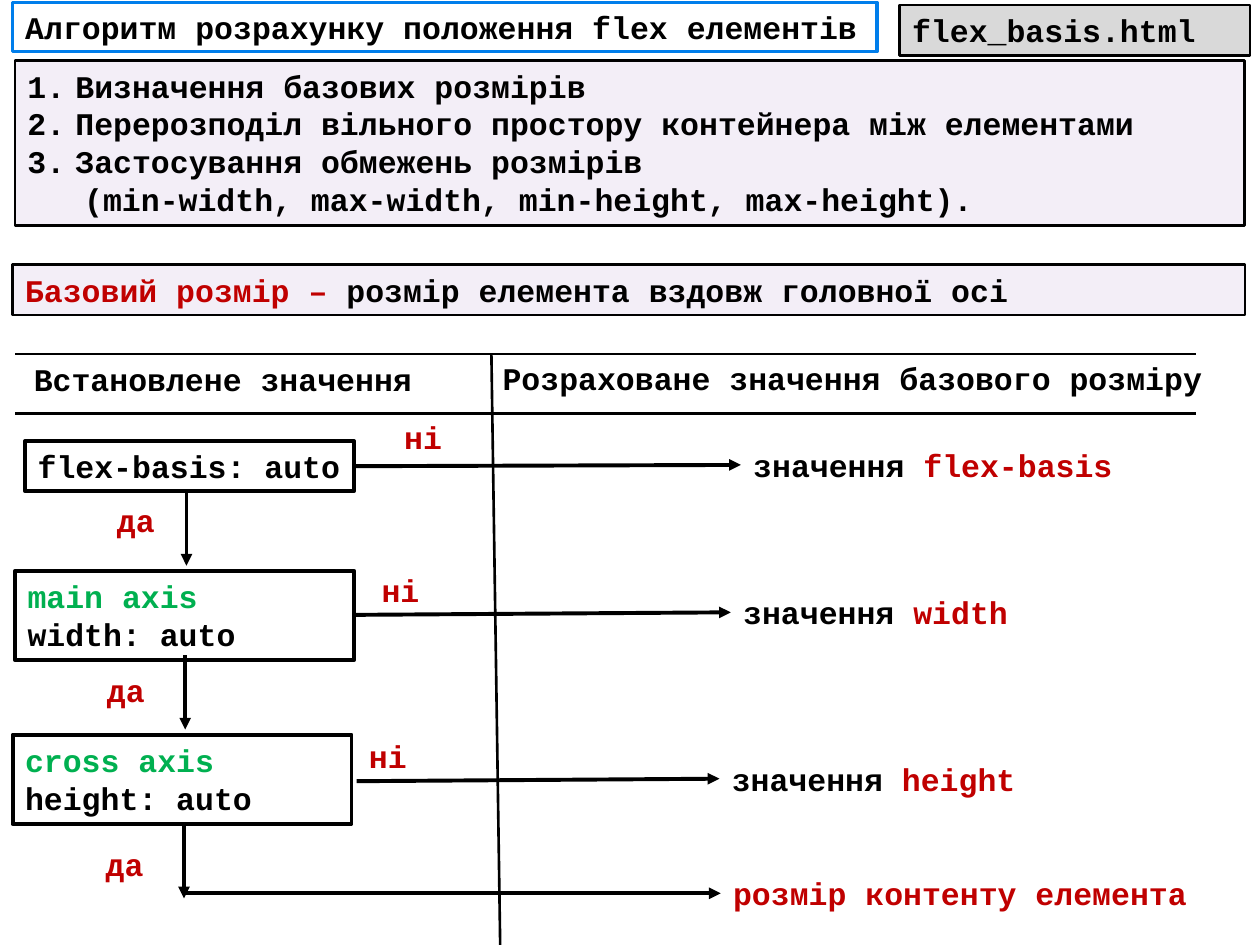
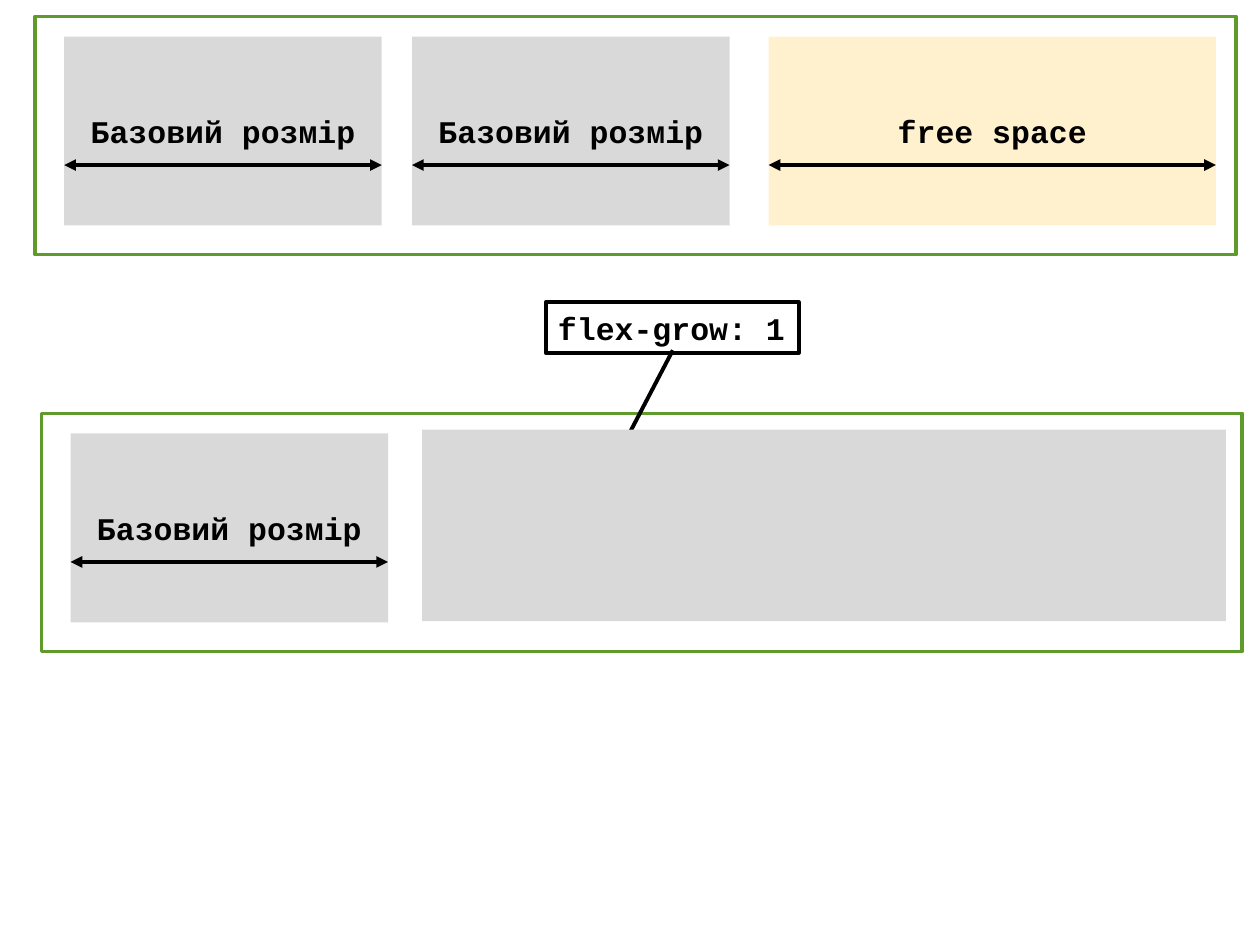
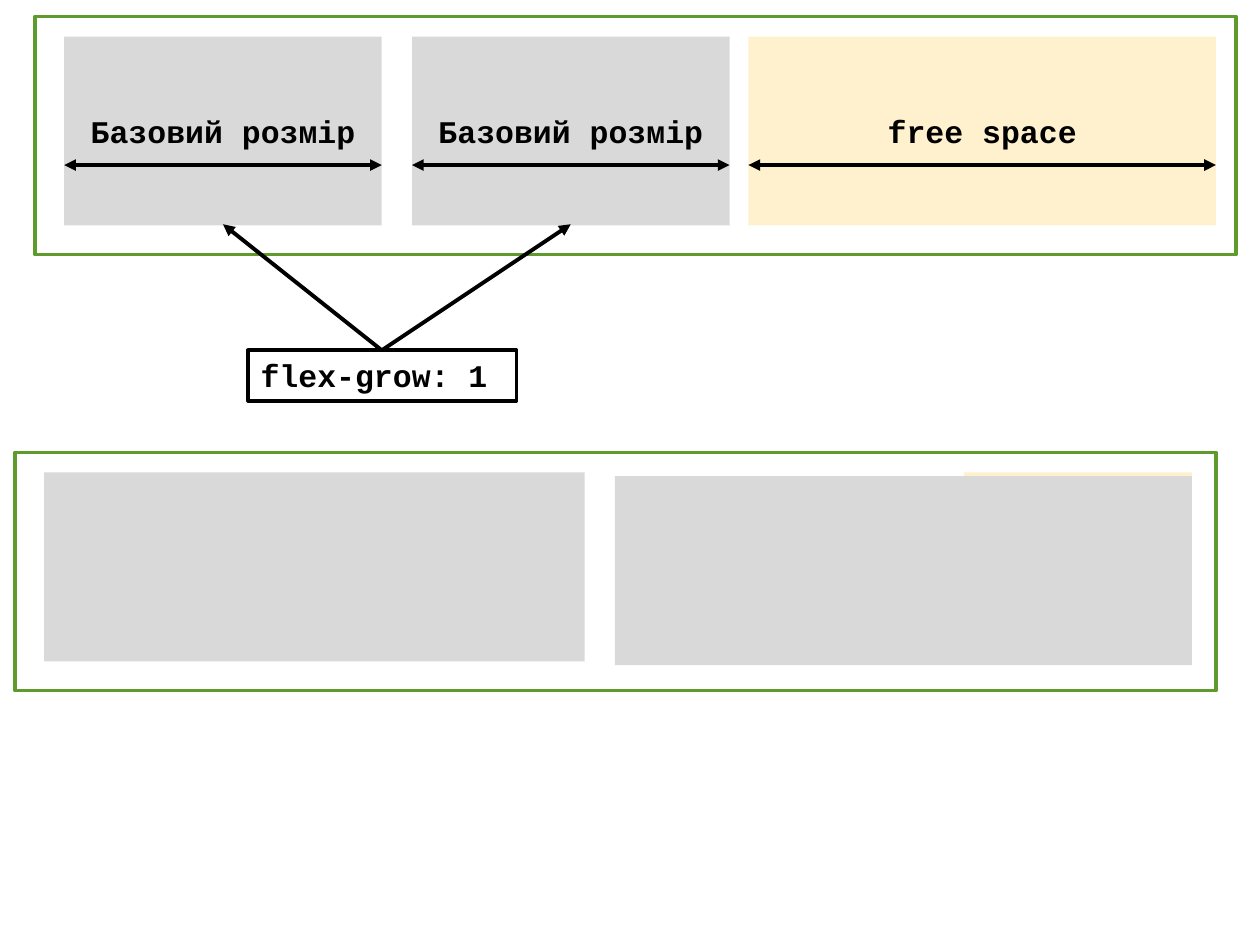
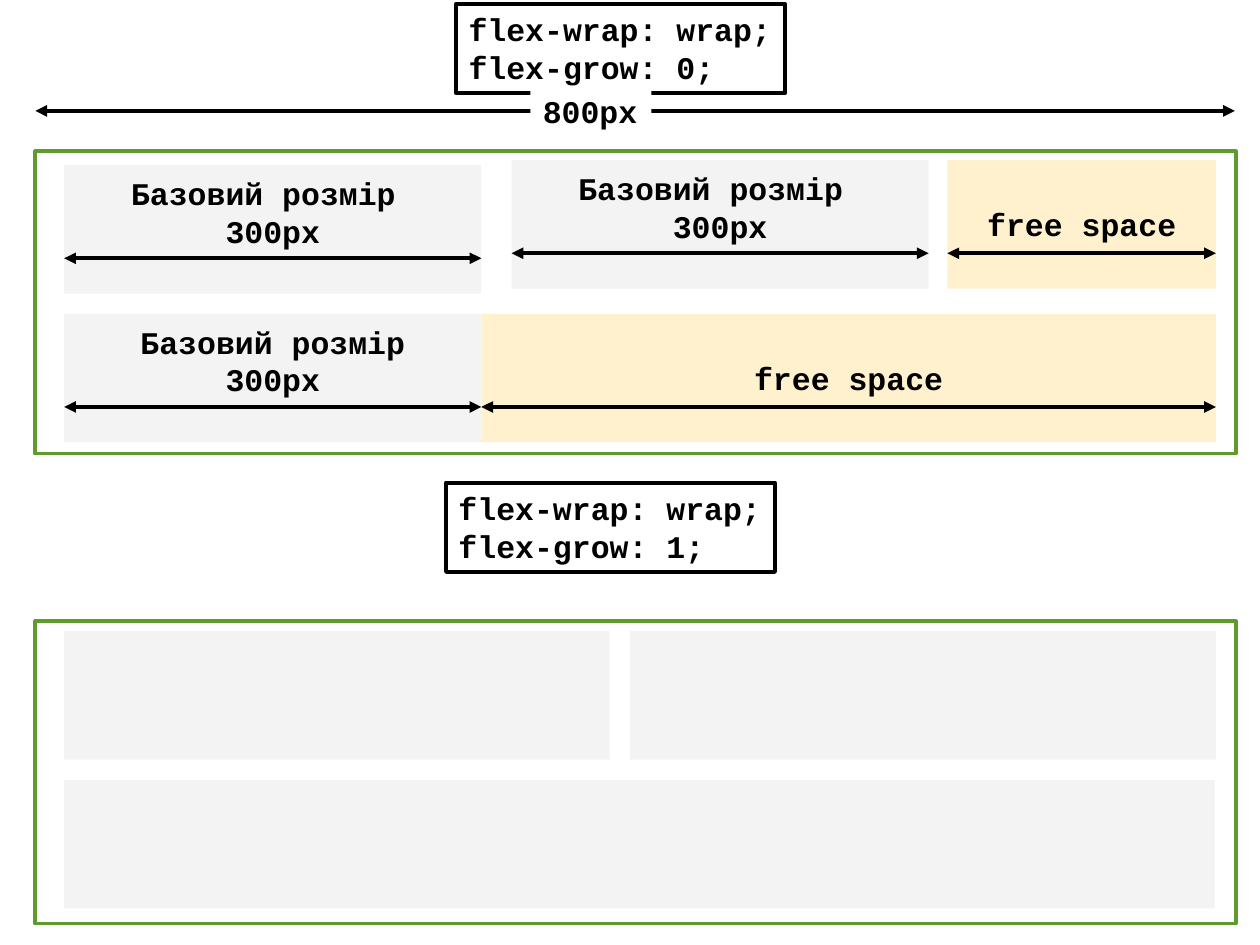
"""Four slides on how flex items get their size: base size, growth and wrapping."""
from lxml import etree
from pptx import Presentation
from pptx import util as u
from pptx.dml.color import RGBColor
from pptx.enum import shapes, text
from pptx.oxml import ns

COLORS = {
    "black": "000000", "white": "FFFFFF", "blue": "007EEB", "purple": "7030A0",
    "red": "C00000", "green": "00B050", "frame": "5E9B2C", "gray": "D9D9D9",
    "cream": "FFF1CE",
}
RGB = {name: RGBColor.from_string(value) for name, value in COLORS.items()}
FONT = "Courier New"
LEFT, CENTER, JUSTIFY = text.PP_ALIGN.LEFT, text.PP_ALIGN.CENTER, text.PP_ALIGN.JUSTIFY


def box(s, at, paras=(), fill=None, alpha=None, line=None, width=2.25,
        align=LEFT, grow=True, wrap=True, sp=None):
    """Place a rectangle, text box or given placeholder; paras hold (text, colour) runs."""
    at = [u.Inches(v) for v in at]
    if sp is not None:
        sp.left, sp.top, sp.width, sp.height = at
    elif fill or line:
        sp = s.shapes.add_shape(shapes.MSO_SHAPE.RECTANGLE, *at)
        sp.shadow.inherit = False
    else:
        sp = s.shapes.add_textbox(*at)
    if fill:
        sp.fill.solid()
        sp.fill.fore_color.rgb = RGB[fill]
        if alpha:
            clr = sp.fill._xPr.find(".//" + ns.qn("a:srgbClr"))
            etree.SubElement(clr, ns.qn("a:alpha"), val=str(alpha * 1000))
    else:
        sp.fill.background()
    if line:
        sp.line.color.rgb = RGB[line]
        sp.line.width = u.Pt(width)
    else:
        sp.line.fill.background()
    if not paras:
        return sp
    tf = sp.text_frame
    tf.word_wrap = wrap
    tf.auto_size = text.MSO_AUTO_SIZE.SHAPE_TO_FIT_TEXT if grow else text.MSO_AUTO_SIZE.NONE
    tf.vertical_anchor = text.MSO_ANCHOR.TOP if grow else text.MSO_ANCHOR.MIDDLE
    for i, runs in enumerate(paras):
        p = tf.paragraphs[0] if i == 0 else tf.add_paragraph()
        p.alignment = align
        for words, color in runs:
            r = p.add_run()
            r.text = words
            r.font.name, r.font.size, r.font.bold = FONT, u.Pt(18), True
            r.font.color.rgb = RGB[color]
    return sp


def connect(s, x1, y1, x2, y2, width=2.25, head=False, tail=False):
    """Draw a black line with optional arrowheads at its start and end."""
    cx = s.shapes.add_connector(shapes.MSO_CONNECTOR.STRAIGHT,
                                *[u.Inches(v) for v in (x1, y1, x2, y2)])
    cx.line.color.rgb = RGB["black"]
    cx.line.width = u.Pt(width)
    ln = cx.line._get_or_add_ln()
    for tag, on in (("a:headEnd", head), ("a:tailEnd", tail)):
        if on:
            etree.SubElement(ln, ns.qn(tag), type="triangle")
    etree.SubElement(cx._element.spPr, ns.qn("a:effectLst"))


prs = Presentation()
prs.slide_width, prs.slide_height = u.Inches(10), u.Inches(7.5)

s = prs.slides.add_slide(prs.slide_layouts[5])
box(s, (0.1, 0.02, 6.86, 0.39),
    [[("Алгоритм розрахунку положення flex елементів", "black")]],
    fill="white", line="blue", width=2, grow=False, sp=s.shapes.title)
box(s, (7.14, 0.04, 2.78, 0.4), [[("flex_basis.html", "black")]],
    fill="gray", line="black", width=1.5)

steps = ["Визначення базових розмірів",
         "Перерозподіл вільного простору контейнера між елементами",
         "Застосування обмежень розмірів",
         "(min-width, max-width, min-height, max-height)."]
sp = box(s, (0.12, 0.48, 9.76, 1.31), [[(step, "black")] for step in steps],
         fill="purple", alpha=8, line="black", width=1.5)
*numbered, note = sp.text_frame.paragraphs
for p in numbered:
    pPr = p._p.get_or_add_pPr()
    pPr.set("marL", str(u.Inches(0.38)))
    pPr.set("indent", str(u.Inches(-0.38)))
    etree.SubElement(pPr, ns.qn("a:buFont"), typeface="+mj-lt")
    etree.SubElement(pPr, ns.qn("a:buAutoNum"), type="arabicPeriod")
note._p.get_or_add_pPr().set("marL", str(u.Inches(0.45)))

box(s, (0.1, 2.1, 9.78, 0.4),
    [[("Базовий розмір – ", "red"), ("розмір елемента вздовж головної осі", "black")]],
    fill="purple", alpha=8, line="black", width=1.5)

for y in (2.81, 3.28):
    connect(s, 0.12, y, 9.49, y, 1.5)
connect(s, 3.9, 2.81, 3.97, 7.5, 1.5)
box(s, (0.17, 2.81, 3.73, 0.4), [[("Встановлене значення", "black")]])
box(s, (3.89, 2.8, 5.78, 0.4), [[("Розраховане значення базового розміру", "black")]])

checks = [
    ((0.2, 3.5, 2.61, 0.4), [[("flex-basis: auto", "black")]]),
    ((0.12, 4.53, 2.69, 0.71), [[("main axis", "green")], [("width: auto", "black")]]),
    ((0.1, 5.83, 2.69, 0.71), [[("cross axis", "green")], [("height: auto", "black")]]),
]
for at, paras in checks:
    box(s, at, paras, line="black", wrap=len(paras) > 1)

results = [
    (2.81, 3.7, 5.88, 3.69, "flex-basis"),
    (2.81, 4.88, 5.8, 4.86, "width"),
    (2.83, 6.2, 5.71, 6.18, "height"),
]
for x1, y1, x2, y2, prop in results:
    connect(s, x1, y1, x2, y2, tail=True)
    box(s, (x2, y2 - 0.2, 3.7, 0.4), [[("значення ", "black"), (prop, "red")]])
connect(s, 1.47, 7.09, 5.72, 7.09, tail=True)
box(s, (5.72, 6.89, 4.17, 0.4), [[("розмір контенту елемента", "red")]])

for x, y in ((1.48, 3.9), (1.47, 5.2), (1.46, 6.54)):
    connect(s, x, y, x, y + 0.59, tail=True)
answers = [("ні", 3.11, 3.27), ("ні", 2.93, 4.48), ("ні", 2.83, 5.8),
           ("да", 0.83, 3.93), ("да", 0.75, 5.28), ("да", 0.74, 6.66)]
for word, x, y in answers:
    box(s, (x, y, 0.5, 0.4), [[(word, "red")]], wrap=False)

BASE = "Базовий розмір"
FREE = "free space"
grow_slides = [prs.slides.add_slide(prs.slide_layouts[6]) for _ in range(2)]
for s, free_x in zip(grow_slides, (6.1, 5.94)):
    box(s, (0.28, 0.13, 9.53, 1.89), line="frame", width=2)
    items = [(0.51, 2.52, BASE, "gray"), (3.27, 2.52, BASE, "gray"),
             (free_x, 9.65 - free_x, FREE, "cream")]
    for x, w, label, fill in items:
        box(s, (x, 0.29, w, 1.5), [[(label, "black")]], fill=fill, align=CENTER, grow=False)
        connect(s, x, 1.31, x + w, 1.31, head=True, tail=True)

s = grow_slides[0]
box(s, (0.33, 3.28, 9.53, 1.89), line="frame", width=2)
box(s, (0.56, 3.44, 2.52, 1.5), [[(BASE, "black")]], fill="gray", align=CENTER, grow=False)
connect(s, 0.56, 4.46, 3.08, 4.46, head=True, tail=True)
box(s, (4.33, 2.4, 2.01, 0.4), [[("flex-grow: 1", "black")]], line="black", wrap=False)
connect(s, 5.34, 2.78, 5.0, 3.43)
box(s, (3.35, 3.41, 6.38, 1.52), fill="gray")

s = grow_slides[1]
box(s, (7.65, 3.75, 1.81, 1.5), fill="cream")
box(s, (0.12, 3.59, 9.53, 1.89), line="frame", width=2)
box(s, (0.35, 3.75, 4.29, 1.5), fill="gray")
box(s, (4.88, 3.78, 4.58, 1.5), fill="gray")
box(s, (1.97, 2.78, 2.13, 0.4), [[("flex-grow: 1", "black")]], line="black", align=JUSTIFY)
for x in (1.77, 4.53):
    connect(s, 3.03, 2.78, x, 1.78, tail=True)

s = prs.slides.add_slide(prs.slide_layouts[6])
for y in (1.2, 4.93):
    box(s, (0.28, y, 9.53, 2.4), line="frame", width=2)
for x, y, grow_value in ((3.62, 0.03, 0), (3.54, 3.83, 1)):
    box(s, (x, y, 2.61, 0.71),
        [[("flex-wrap: wrap;", "black")], [(f"flex-grow: {grow_value};", "black")]],
        line="black", wrap=False)
connect(s, 0.28, 0.88, 9.8, 0.88, head=True, tail=True)
box(s, (4.21, 0.68, 0.96, 0.4), [[("800px", "black")]], fill="white", wrap=False)

for x, y, label in ((0.51, 1.31, BASE + " "), (4.06, 1.27, BASE + " "), (0.51, 2.49, BASE)):
    sp = box(s, (x, y, 3.31, 1.02), [[(label, "black")], [("300px", "black")]],
             fill="gray", alpha=31, align=CENTER, grow=False)
    sp.text_frame.margin_bottom = u.Inches(0.33)
    connect(s, x, y + 0.74, x + 3.31, y + 0.74, head=True, tail=True)
for x, y, w in ((7.52, 1.27, 2.13), (3.82, 2.49, 5.83)):
    box(s, (x, y, w, 1.02), [[(FREE, "black")]], fill="cream", align=CENTER, grow=False)
    connect(s, x, y + 0.74, x + w, y + 0.74, head=True, tail=True)
for x, y, w in ((0.51, 5.01, 4.33), (5, 5.01, 4.65), (0.51, 6.19, 9.13)):
    box(s, (x, y, w, 1.02), fill="gray", alpha=31)

prs.save("out.pptx")
